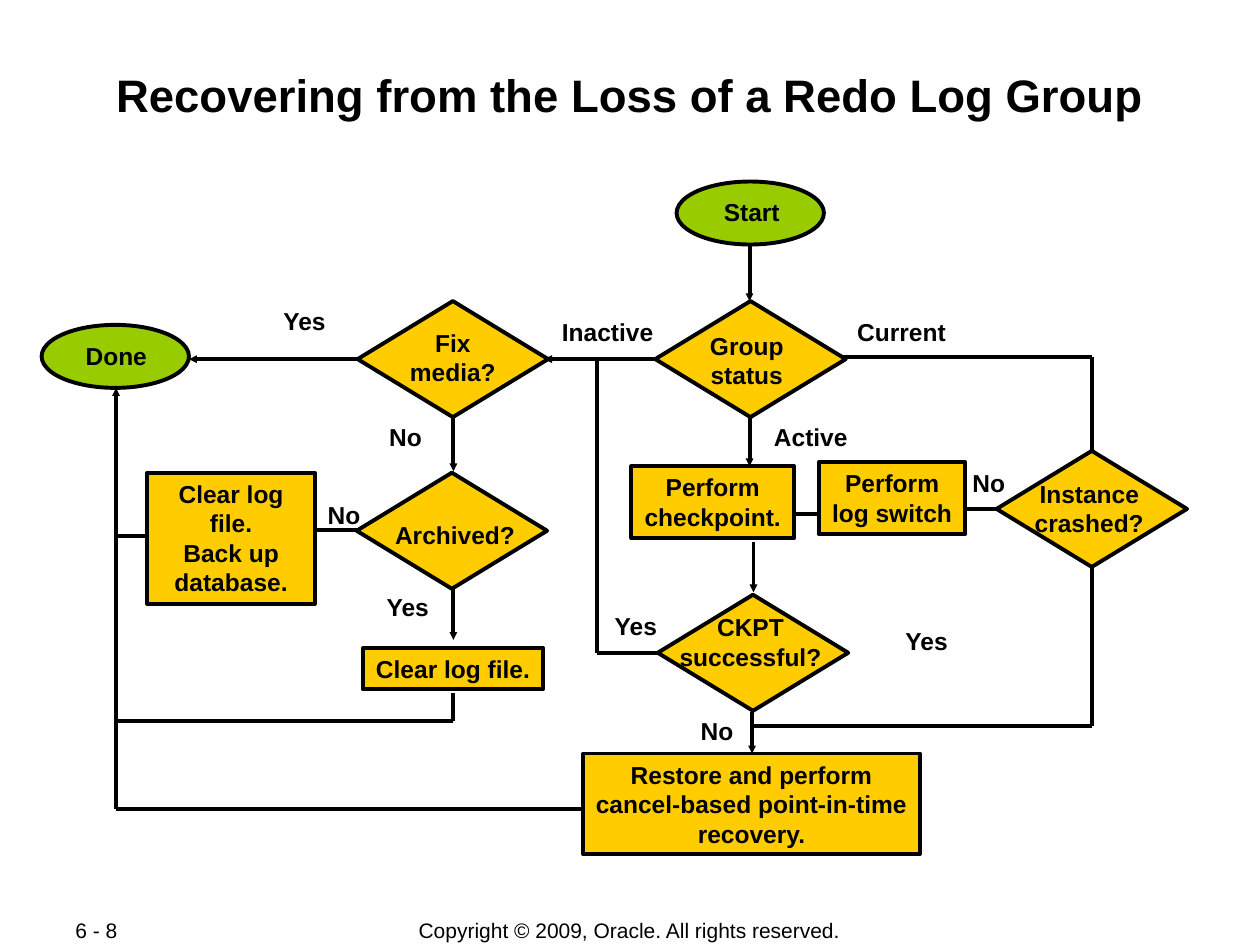
from lxml.etree import SubElement
from pptx import Presentation
from pptx.dml.color import RGBColor
from pptx.enum.shapes import MSO_CONNECTOR, MSO_SHAPE
from pptx.enum.text import MSO_ANCHOR, MSO_AUTO_SIZE, PP_ALIGN
from pptx.oxml.ns import qn
from pptx.util import Cm, Pt

BLACK = RGBColor(0x00, 0x00, 0x00)
AMBER = RGBColor(0xFF, 0xCC, 0x00)
GREEN = RGBColor(0x99, 0xCC, 0x00)
LINE_WIDTH = Pt(2.25)

# Content: all lengths in centimetres
TITLE = "Recovering from the Loss of a Redo Log Group"
FOOTERS = [  # text, left, top, width, height, alignment
    ("Copyright © 2009, Oracle. All rights reserved.",
     6.99, 18.49, 11.4, 0.53, PP_ALIGN.CENTER),
    ("6 - 8", 1.27, 18.49, 2.69, 0.51, PP_ALIGN.LEFT),
]

DECISION_SIZE = (3.84, 2.34)
DECISIONS = [(13.21, 6.07), (7.21, 6.07), (7.19, 9.53), (13.26, 11.99), (20.09, 9.09)]
TERMINAL_SIZE = (2.97, 1.27)
TERMINALS = [(13.64, 3.66), (0.84, 6.55)]

STEPS = [  # text, left, top, width, height, wrap
    ("Clear log file.", 7.32, 13.06, 3.63, 0.84, False),
    ("Restore and perform\ncancel-based point-in-time\nrecovery.",
     11.76, 15.19, 6.78, 2.03, False),
    ("Clear log file.\nBack up database.", 2.97, 9.53, 3.38, 2.64, True),
    ("Perform\nlog switch", 16.51, 9.32, 2.95, 1.45, False),
    ("Perform\ncheckpoint.", 12.73, 9.4, 3.28, 1.45, False),
]

LABEL_HEIGHTS = {1: 0.84, 2: 1.45}  # by number of lines
LABELS = [  # text, left, top, width
    ("Start", 14.33, 3.84, 1.65),
    ("Done", 1.47, 6.76, 1.75),
    ("Group\nstatus", 14.05, 6.55, 2.01),
    ("Fix\nmedia?", 8.0, 6.48, 2.26),
    ("Archived?", 7.7, 10.36, 2.95),
    ("CKPT\nsuccessful?", 13.44, 12.22, 3.38),
    ("Instance\ncrashed?", 20.6, 9.53, 2.72),
    ("Inactive", 11.07, 6.27, 2.36),
    ("Active", 15.34, 8.38, 2.01),
    ("Current", 17.02, 6.27, 2.31),
    ("Yes", 5.44, 6.05, 1.4),
    ("Yes", 12.12, 12.19, 1.4),
    ("Yes", 7.52, 11.81, 1.4),
    ("Yes", 17.98, 12.5, 1.4),
    ("No", 7.59, 8.38, 1.17),
    ("No", 13.87, 14.3, 1.17),
    ("No", 6.35, 9.96, 1.17),
    ("No", 19.35, 9.32, 1.17),
]

ARROWS = [  # points of each route, arrowhead at the last one
    [(15.11, 4.95), (15.11, 6.07)],                    # start to group status
    [(13.18, 7.24), (10.97, 7.24)],                    # inactive
    [(7.42, 7.24), (3.81, 7.24)],                      # media fixed
    [(9.14, 8.43), (9.14, 9.5)],                       # media not fixed
    [(15.11, 8.41), (15.11, 9.4)],                     # active
    [(15.19, 10.92), (15.19, 11.94)],                  # checkpoint done
    [(15.16, 14.35), (15.16, 15.19)],                  # checkpoint failed
    [(9.14, 11.86), (9.14, 12.9)],                     # archived
    [(12.24, 16.31), (2.34, 16.31), (2.34, 7.82)],     # restore to done
]
PLAIN_ROUTES = [
    [(16.94, 7.19), (22.02, 7.19), (22.02, 14.63), (15.19, 14.63)],  # current
    [(13.31, 13.16), (12.04, 13.16), (12.04, 7.26)],   # checkpoint successful
    [(9.14, 13.97), (9.14, 14.53), (2.34, 14.53)],     # log file cleared
    [(7.19, 10.69), (6.35, 10.69)],                    # not archived
    [(2.97, 10.8), (2.34, 10.8)],                      # backup finished
    [(20.12, 10.26), (19.25, 10.26)],                  # instance running
    [(16.51, 10.36), (15.88, 10.36)],                  # switch to checkpoint
]


def write(frame, text, size=14, bold=True, align=PP_ALIGN.CENTER,
          anchor=MSO_ANCHOR.TOP, wrap=False):
    frame.auto_size = MSO_AUTO_SIZE.NONE
    frame.word_wrap = wrap
    frame.vertical_anchor = anchor
    frame.text = text
    for para in frame.paragraphs:
        para.alignment = align
        for span in para.runs:
            span.font.name = "Arial"
            span.font.size = Pt(size)
            span.font.bold = bold
            span.font.color.rgb = BLACK


def add_outlined(page, kind, place, fill):
    shape = page.shapes.add_shape(kind, *map(Cm, place))
    shape.shadow.inherit = False
    shape.fill.solid()
    shape.fill.fore_color.rgb = fill
    shape.line.color.rgb = BLACK
    shape.line.width = LINE_WIDTH
    return shape


def add_text(page, text, place, **style):
    box = page.shapes.add_textbox(*map(Cm, place))
    write(box.text_frame, text, **style)


def add_route(page, points, arrow):
    for start, end in zip(points, points[1:]):
        line = page.shapes.add_connector(MSO_CONNECTOR.STRAIGHT, *map(Cm, start + end))
        line.line.color.rgb = BLACK
        line.line.width = LINE_WIDTH
        properties = line.line._get_or_add_ln()
        if arrow and end == points[-1]:
            SubElement(properties, qn("a:tailEnd"), type="triangle", w="sm", len="sm")
        SubElement(line._element.spPr, qn("a:effectLst"))


def main():
    deck = Presentation()
    deck.slide_width, deck.slide_height = Cm(25.4), Cm(19.05)
    page = deck.slides.add_slide(deck.slide_layouts[5])

    # Title
    title = page.shapes.title
    title.left, title.top, title.width, title.height = map(Cm, (1.7, 1.22, 22, 2.44))
    frame = title.text_frame
    frame.margin_left = frame.margin_right = frame.margin_bottom = Cm(0.03)
    frame.margin_top = Cm(0.13)
    write(frame, TITLE, size=26, wrap=True)

    # Footer
    for text, *place, align in FOOTERS:
        add_text(page, text, place, size=12, bold=False, align=align,
                 anchor=MSO_ANCHOR.MIDDLE)

    # Routes lie behind the shapes
    for points in PLAIN_ROUTES:
        add_route(page, points, arrow=False)
    for points in ARROWS:
        add_route(page, points, arrow=True)

    # Flowchart shapes
    for corner in DECISIONS:
        add_outlined(page, MSO_SHAPE.FLOWCHART_DECISION, corner + DECISION_SIZE, AMBER)
    for corner in TERMINALS:
        add_outlined(page, MSO_SHAPE.OVAL, corner + TERMINAL_SIZE, GREEN)
    for text, *place, wrap in STEPS:
        step = add_outlined(page, MSO_SHAPE.RECTANGLE, place, AMBER)
        write(step.text_frame, text, wrap=wrap)

    # Labels
    for text, *place in LABELS:
        height = LABEL_HEIGHTS[len(text.split("\n"))]
        add_text(page, text, (*place, height))

    deck.save("out.pptx")


if __name__ == "__main__":
    main()
